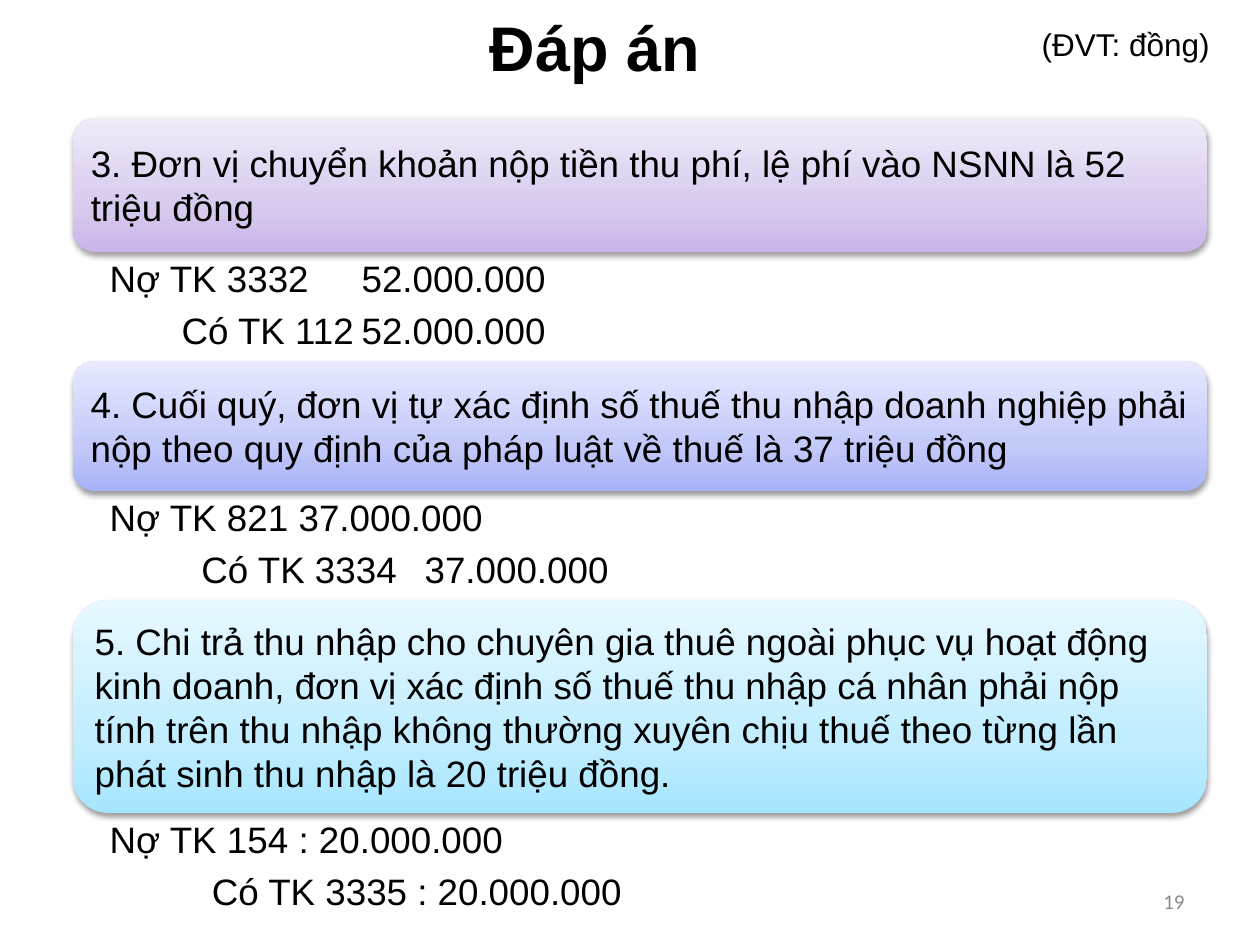
from dataclasses import dataclass
from typing import Optional

from lxml.etree import SubElement
from pptx import Presentation
from pptx.dml.color import RGBColor
from pptx.enum.shapes import MSO_SHAPE as Shape
from pptx.enum.text import MSO_ANCHOR as Anchor, PP_ALIGN as Align
from pptx.oxml import parse_xml
from pptx.oxml.ns import nsdecls, qn
from pptx.util import Cm, Pt

COLORS = {
    "text": "000000",
    "number": "8C8C8C",
    "purple": ("C9B5E8", "D8CBEE", "F0EAF9"),
    "blue": ("A9B2F8", "C3C9F9", "E7E9FE"),
    "cyan": ("A7E6FF", "C1EDFF", "E7F8FF"),
}
GRADIENT_STOPS = (0, 35, 100)
LEFT, WIDTH = 1.47, 22.86
FIRST_TOP, ENTRY_HEIGHT = 2.39, 2.2


@dataclass
class Entry:
    text: str
    indent: float = 0
    tab: Optional[float] = None


@dataclass
class Section:
    question: str
    height: float
    color: str
    entries: tuple


SECTIONS = (
    Section(
        "3. Đơn vị chuyển khoản nộp tiền thu phí, lệ phí vào NSNN là 52 triệu đồng",
        2.69, "purple",
        (Entry("Nợ TK 3332\t52.000.000", tab=8.61),
         Entry("Có TK 112\t52.000.000", 1.45, 9.24)),
    ),
    Section(
        "4. Cuối quý, đơn vị tự xác định số thuế thu nhập doanh nghiệp phải nộp "
        "theo quy định của pháp luật về thuế là 37 triệu đồng",
        2.62, "blue",
        (Entry("Nợ TK 821\t37.000.000", tab=8.61),
         Entry("Có TK 3334\t37.000.000", 1.85, 6.65)),
    ),
    Section(
        "5. Chi trả thu nhập cho chuyên gia thuê ngoài phục vụ hoạt động kinh doanh, "
        "đơn vị xác định số thuế thu nhập cá nhân phải nộp tính trên thu nhập không "
        "thường xuyên chịu thuế theo từng lần phát sinh thu nhập là 20 triệu đồng.",
        4.29, "cyan",
        (Entry("Nợ TK 154\t: 20.000.000", tab=6.27),
         Entry("Có TK 3335 : 20.000.000", 2.06)),
    ),
)


def set_format(target, values: dict) -> None:
    for name, value in values.items():
        setattr(target, name, value)


def write(para, text: str, size: float, color: str = "text",
          font: str = "Arial", bold: bool = False, align=Align.LEFT) -> None:
    para.alignment = align
    span = para.add_run()
    span.text = text
    set_format(span.font, {"name": font, "size": Pt(size), "bold": bold})
    span.font.color.rgb = RGBColor.from_string(COLORS[color])


def add_box(page, left: float, top: float, width: float, height: float, **frame):
    box = page.shapes.add_textbox(Cm(left), Cm(top), Cm(width), Cm(height))
    set_format(box.text_frame, {"word_wrap": True, **frame})
    return box.text_frame


def add_card(page, section: Section, top: float) -> None:
    card = page.shapes.add_shape(
        Shape.ROUNDED_RECTANGLE, Cm(LEFT), Cm(top), Cm(WIDTH), Cm(section.height))
    card.line.fill.background()
    card.shadow.inherit = False
    stops = "".join(
        f'<a:gs pos="{position * 1000}"><a:srgbClr val="{color}"/></a:gs>'
        for position, color in zip(GRADIENT_STOPS, COLORS[section.color]))
    properties = card._element.spPr
    properties.find(qn("a:prstGeom")).addnext(parse_xml(
        f'<a:gradFill {nsdecls("a")} rotWithShape="1"><a:gsLst>{stops}</a:gsLst>'
        '<a:lin ang="16200000" scaled="0"/></a:gradFill>'))
    properties.find(qn("a:effectLst")).append(parse_xml(
        f'<a:outerShdw {nsdecls("a")} blurRad="40000" dist="20000" dir="5400000" '
        'rotWithShape="0"><a:srgbClr val="000000"><a:alpha val="38000"/>'
        '</a:srgbClr></a:outerShdw>'))
    margins = {f"margin_{side}": Cm(0.23) for side in ("left", "right", "top", "bottom")}
    set_format(card.text_frame, {
        "word_wrap": True, "vertical_anchor": Anchor.MIDDLE, **margins})
    write(card.text_frame.paragraphs[0], section.question, 21)


def add_entries(page, entries: tuple, top: float) -> None:
    frame = add_box(page, LEFT, top, WIDTH, ENTRY_HEIGHT, margin_left=Cm(0.74),
                    margin_right=Cm(0.4), margin_top=Cm(0.08), margin_bottom=Cm(0.08))
    for index, entry in enumerate(entries):
        para = frame.add_paragraph() if index else frame.paragraphs[0]
        properties = para._p.get_or_add_pPr()
        properties.set("marL", "0")
        properties.set("indent", str(Cm(entry.indent)))
        if entry.tab is not None:
            tabs = SubElement(properties, qn("a:tabLst"))
            SubElement(tabs, qn("a:tab"), pos=str(Cm(entry.tab)), algn="l")
        para.space_after = Pt(4.2)
        write(para, entry.text, 21)


def main() -> None:
    deck = Presentation()
    set_format(deck, {"slide_width": Cm(25.4), "slide_height": Cm(19.05)})
    page = deck.slides.add_slide(deck.slide_layouts[5])

    title = page.shapes.title
    set_format(title, {"left": Cm(1.04), "top": Cm(0.05),
                       "width": Cm(21.9), "height": Cm(2.26)})
    title.text_frame.vertical_anchor = Anchor.TOP
    write(title.text_frame.paragraphs[0], "Đáp án", 36, bold=True, align=Align.CENTER)

    unit = add_box(page, 20.75, 0.38, 4.5, 1.02, word_wrap=False)
    write(unit.paragraphs[0], "(ĐVT: đồng)", 18)

    top = FIRST_TOP
    for section in SECTIONS:
        add_card(page, section, top)
        add_entries(page, section.entries, top + section.height)
        top += section.height + ENTRY_HEIGHT

    number = add_box(page, 18.21, 17.65, 5.92, 1.02, vertical_anchor=Anchor.MIDDLE)
    write(number.paragraphs[0], "19", 12, "number", "Calibri", align=Align.RIGHT)

    deck.save("out.pptx")


if __name__ == "__main__":
    main()
